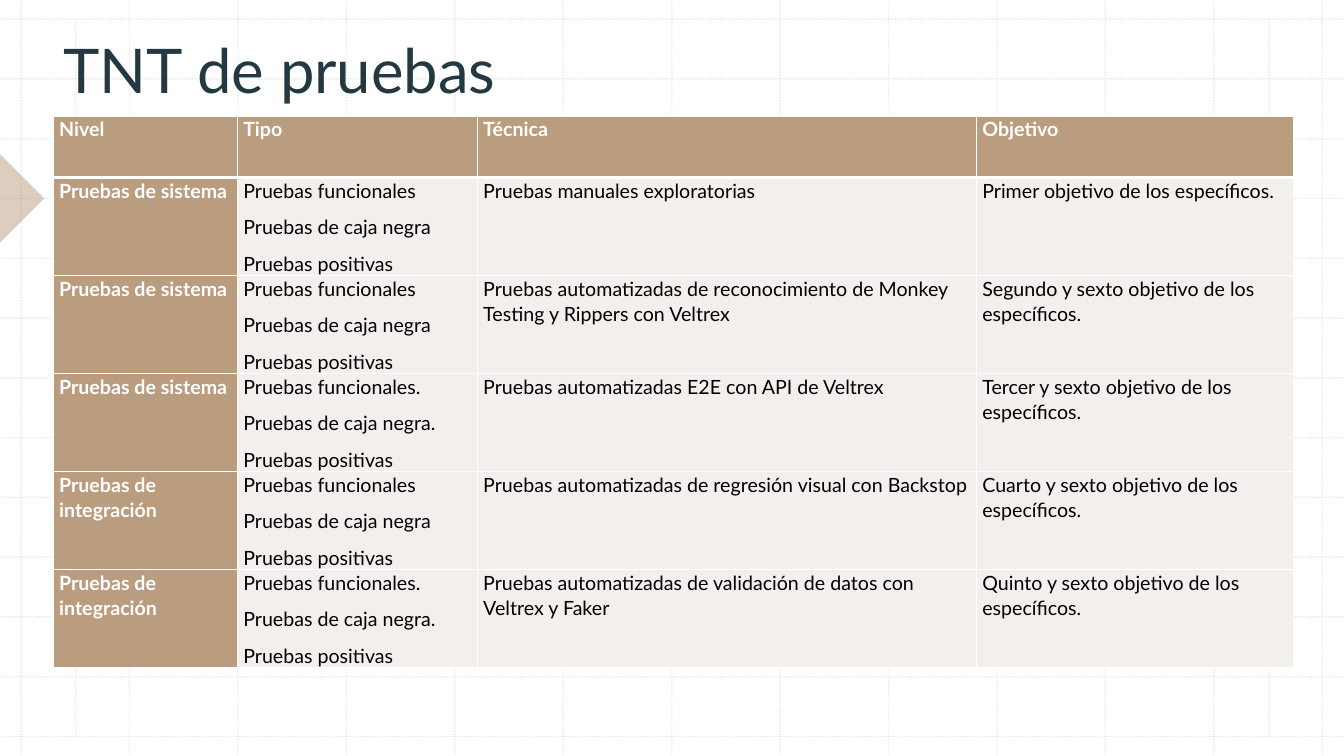
import pptx
import pptx.util
import pptx.dml.color
import pptx.enum.dml
import pptx.enum.shapes
import pptx.enum.text
import pptx.oxml
import pptx.oxml.ns

Pt = pptx.util.Pt
qn = pptx.oxml.ns.qn

TITLE = "TNT de pruebas"
HEADERS = ["Nivel", "Tipo", "Técnica", "Objetivo"]
TYPES = ["Pruebas funcionales", "Pruebas de caja negra", "Pruebas positivas"]
TYPES_DOT = ["Pruebas funcionales.", "Pruebas de caja negra.", "Pruebas positivas"]
ROWS = [
    ["Pruebas de sistema", TYPES, "Pruebas manuales exploratorias",
     "Primer objetivo de los específicos."],
    ["Pruebas de sistema", TYPES,
     "Pruebas automatizadas de reconocimiento de Monkey Testing y Rippers con Veltrex",
     "Segundo y sexto objetivo de los específicos."],
    ["Pruebas de sistema", TYPES_DOT, "Pruebas automatizadas E2E con API de Veltrex",
     "Tercer y sexto objetivo de los específicos."],
    ["Pruebas de integración", TYPES, "Pruebas automatizadas de regresión visual con Backstop",
     "Cuarto y sexto objetivo de los específicos."],
    ["Pruebas de integración", TYPES_DOT,
     "Pruebas automatizadas de validación de datos con Veltrex y Faker",
     "Quinto y sexto objetivo de los específicos."],
]
FONT = "Lato"
WHITE, BLACK, TAN, PALE, NAVY, GRAY = "FFFFFF", "000000", "BA9C7E", "F3EFEC", "243841", "BCBCBC"
WIDTH, HEIGHT = 960, 540
GRID_X, GRID_Y, STEP_X, STEP_Y, GRID_LINES = 15.1, 13.7, 77.45, 42.7, 13
MARGINS_X = [54, 906.5]
COL_WIDTHS = [131.6, 171.4, 356.5, 226.1]
ROW_HEIGHTS = [44] + [70] * len(ROWS)


def rgb(color):
    return pptx.dml.color.RGBColor.from_string(color)


def set_alpha(element, percent):
    for clr in element.iter(qn("a:srgbClr")):
        clr.append(pptx.oxml.parse_xml(
            f'<a:alpha {pptx.oxml.ns.nsdecls("a")} val="{percent * 1000}"/>'))


def add_grid_line(s, x1, y1, x2, y2):
    line = s.shapes.add_connector(
        pptx.enum.shapes.MSO_CONNECTOR.STRAIGHT, Pt(x1), Pt(y1), Pt(x2), Pt(y2))
    line.line.color.rgb = rgb(GRAY)
    line.line.width = Pt(1)
    line.line.dash_style = pptx.enum.dml.MSO_LINE.ROUND_DOT
    sp_pr = line._element.spPr
    set_alpha(sp_pr, 30)
    sp_pr.append(pptx.oxml.parse_xml(f'<a:effectLst {pptx.oxml.ns.nsdecls("a")}/>'))


def set_borders(cell, top, bottom):
    tc_pr = cell._tc.get_or_add_tcPr()
    for i, (side, width) in enumerate([("L", 1), ("R", 1), ("T", top), ("B", bottom)]):
        tc_pr.insert(i, pptx.oxml.parse_xml(
            f'<a:ln{side} {pptx.oxml.ns.nsdecls("a")} w="{Pt(width)}"><a:solidFill>'
            f'<a:srgbClr val="{WHITE}"/></a:solidFill></a:ln{side}>'))


def fill_cell(cell, lines, strong):
    cell.fill.solid()
    cell.fill.fore_color.rgb = rgb(TAN if strong else PALE)
    cell.margin_left = cell.margin_right = Pt(4)
    cell.margin_top = cell.margin_bottom = 0
    tf = cell.text_frame
    tf.text = "\n".join(lines)
    for p in tf.paragraphs:
        p.line_spacing = 1.07
        p.space_after = Pt(8)
        p.font.name = FONT
        p.font.size = Pt(14)
        p.font.bold = strong
        p.font.color.rgb = rgb(WHITE if strong else BLACK)


def add_title(s):
    title = s.shapes.title
    title.left, title.top, title.width, title.height = Pt(38.2), Pt(10.8), Pt(351.4), Pt(68.4)
    tf = title.text_frame
    tf.text = TITLE
    tf.word_wrap = True
    tf.auto_size = pptx.enum.text.MSO_AUTO_SIZE.NONE
    tf.vertical_anchor = pptx.enum.text.MSO_ANCHOR.BOTTOM
    p = tf.paragraphs[0]
    p.alignment = pptx.enum.text.PP_ALIGN.LEFT
    p.font.name = FONT
    p.font.size = Pt(44)
    p.font.color.rgb = rgb(NAVY)
    s.shapes._spTree.append(title._element)


def add_background(s):
    for i in range(GRID_LINES):
        x, y = GRID_X + i * STEP_X, GRID_Y + i * STEP_Y
        add_grid_line(s, x, 0, x, HEIGHT)
        add_grid_line(s, 0, y, WIDTH, y)
    for x in MARGINS_X:
        add_grid_line(s, x, GRID_Y, x, GRID_Y + (GRID_LINES - 1) * STEP_Y)
    marker = s.shapes.add_shape(
        pptx.enum.shapes.MSO_SHAPE.RIGHT_TRIANGLE, Pt(-22.4), Pt(119.3), Pt(44.8), Pt(44.8))
    marker.rotation = 225
    marker.shadow.inherit = False
    marker.fill.solid()
    marker.fill.fore_color.rgb = rgb(TAN)
    marker.line.fill.background()
    set_alpha(marker._element.spPr, 50)


def add_levels_table(s):
    data = [HEADERS] + ROWS
    table = s.shapes.add_table(
        len(data), len(HEADERS), Pt(38.2), Pt(82.8),
        Pt(sum(COL_WIDTHS)), Pt(sum(ROW_HEIGHTS))).table
    table.first_col = True
    table.horz_banding = False
    for column, width in zip(table.columns, COL_WIDTHS):
        column.width = Pt(width)
    for i, (values, height) in enumerate(zip(data, ROW_HEIGHTS)):
        table.rows[i].height = Pt(height)
        for j, value in enumerate(values):
            cell = table.cell(i, j)
            lines = value if isinstance(value, list) else [value]
            fill_cell(cell, lines, i == 0 or j == 0)
            set_borders(cell, 3 if i == 1 else 1, 3 if i == 0 else 1)


def main():
    prs = pptx.Presentation()
    prs.slide_width, prs.slide_height = Pt(WIDTH), Pt(HEIGHT)
    s = prs.slides.add_slide(prs.slide_layouts[5])
    add_background(s)
    add_title(s)
    add_levels_table(s)
    prs.save("out.pptx")


if __name__ == "__main__":
    main()
